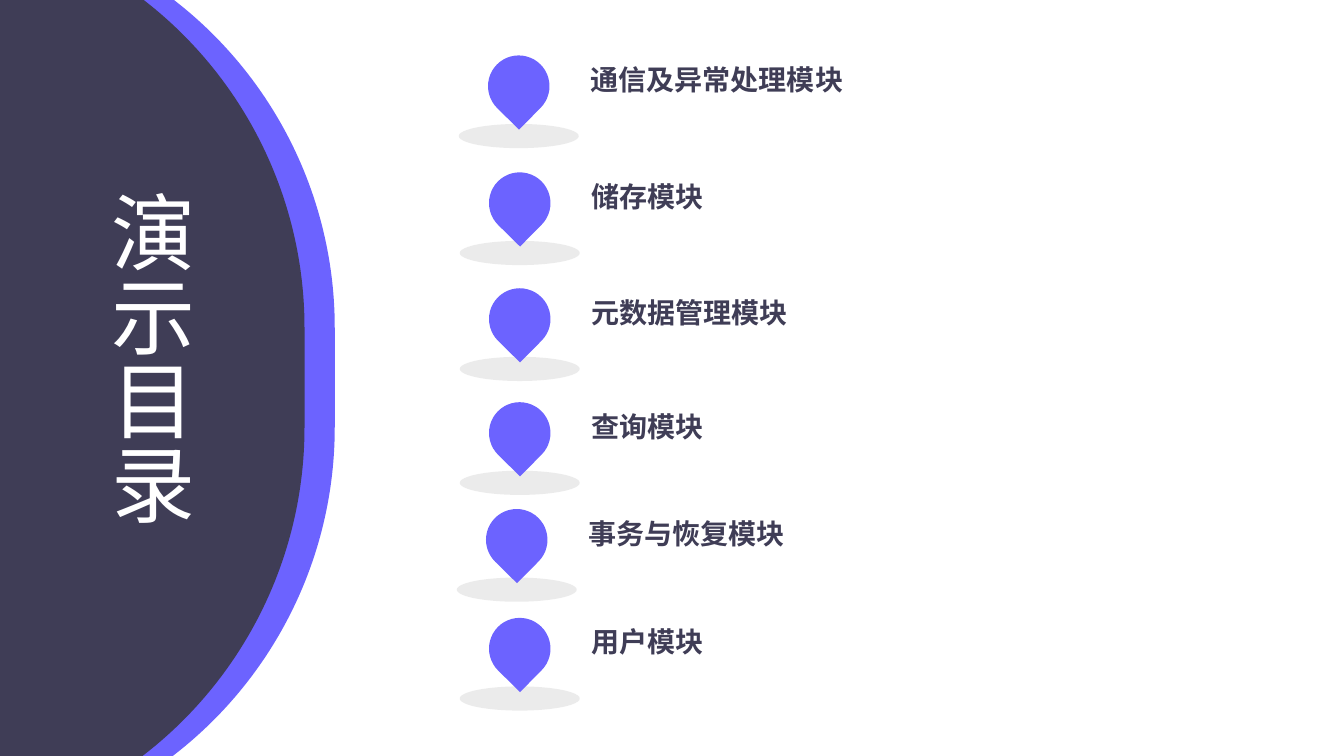
from lxml.etree import SubElement
from pptx import Presentation
from pptx.dml.color import RGBColor
from pptx.enum.shapes import MSO_SHAPE as Shape
from pptx.enum.text import MSO_AUTO_SIZE as AutoSize, PP_ALIGN as Align
from pptx.oxml.ns import qn
from pptx.util import Inches, Pt

VIOLET = RGBColor(0x6C, 0x63, 0xFF)
NAVY = RGBColor(0x3F, 0x3D, 0x56)
GREY = RGBColor(0xD9, 0xD9, 0xD9)
WHITE = RGBColor(0xFF, 0xFF, 0xFF)

# Left and top of each pin, and its label
MODULES = [
    (4.84, 0.55, "通信及异常处理模块"),
    (4.85, 1.71, "储存模块"),
    (4.85, 2.86, "元数据管理模块"),
    (4.85, 3.99, "查询模块"),
    (4.82, 5.05, "事务与恢复模块"),
    (4.85, 6.13, "用户模块"),
]


class AgendaSlide:
    font = "Noto Sans CJK SC"

    def __init__(self, page):
        self.page = page

    def shape(self, parent, kind, left, top, width, height, color, alpha=None):
        item = parent.shapes.add_shape(
            kind, Inches(left), Inches(top), Inches(width), Inches(height))
        item.shadow.inherit = False
        item.fill.solid()
        item.fill.fore_color.rgb = color
        item.line.fill.background()
        if alpha is not None:
            tint = item.fill._xPr.find(qn("a:solidFill"))[0]
            SubElement(tint, qn("a:alpha"), val=str(alpha * 1000))
        return item

    def text(self, parent, left, top, width, height, words, **style):
        box = parent.shapes.add_textbox(
            Inches(left), Inches(top), Inches(width), Inches(height))
        frame = box.text_frame
        frame.word_wrap = True
        frame.auto_size = AutoSize.SHAPE_TO_FIT_TEXT
        span = frame.paragraphs[0].add_run()
        span.text = words
        span.font.color.rgb = style.pop("color")
        for name, value in {"name": self.font, **style}.items():
            setattr(span.font, name, value)
        SubElement(span.font._element, qn("a:ea"), typeface=self.font)
        return frame

    def panel(self, left, color):
        panel = self.shape(self.page, Shape.ROUNDED_RECTANGLE,
                           left, -0.86, 8.22, 9.21, color)
        panel.adjustments[0] = 0.5

    def title(self, words):
        frame = self.text(self.page, 0.83, 1.79, 1.21, 3.58, words,
                          size=Pt(60), color=WHITE)
        frame.paragraphs[0].alignment = Align.JUSTIFY
        frame._txBody.bodyPr.set("vert", "eaVert")

    def module(self, left, top, words):
        group = self.page.shapes.add_group_shape()
        self.shape(group, Shape.OVAL, left - 0.29, top + 0.68, 1.19, 0.24,
                   GREY, alpha=50)
        pin = self.shape(group, Shape.TEAR, left, top, 0.61, 0.61, VIOLET)
        pin.rotation = 134.6
        self.text(group, left + 0.92, top + 0.02, 3.17, 0.44, words,
                  size=Pt(20), bold=True, color=NAVY)


def main():
    deck = Presentation()
    deck.slide_width, deck.slide_height = Inches(13.33), Inches(7.5)
    agenda = AgendaSlide(deck.slides.add_slide(deck.slide_layouts[6]))

    # Curved side panel with its title
    agenda.panel(-4.9, VIOLET)
    agenda.panel(-5.2, NAVY)
    agenda.title("演示目录")

    # Agenda entries
    for left, top, words in MODULES:
        agenda.module(left, top, words)

    deck.save("out.pptx")


if __name__ == "__main__":
    main()
